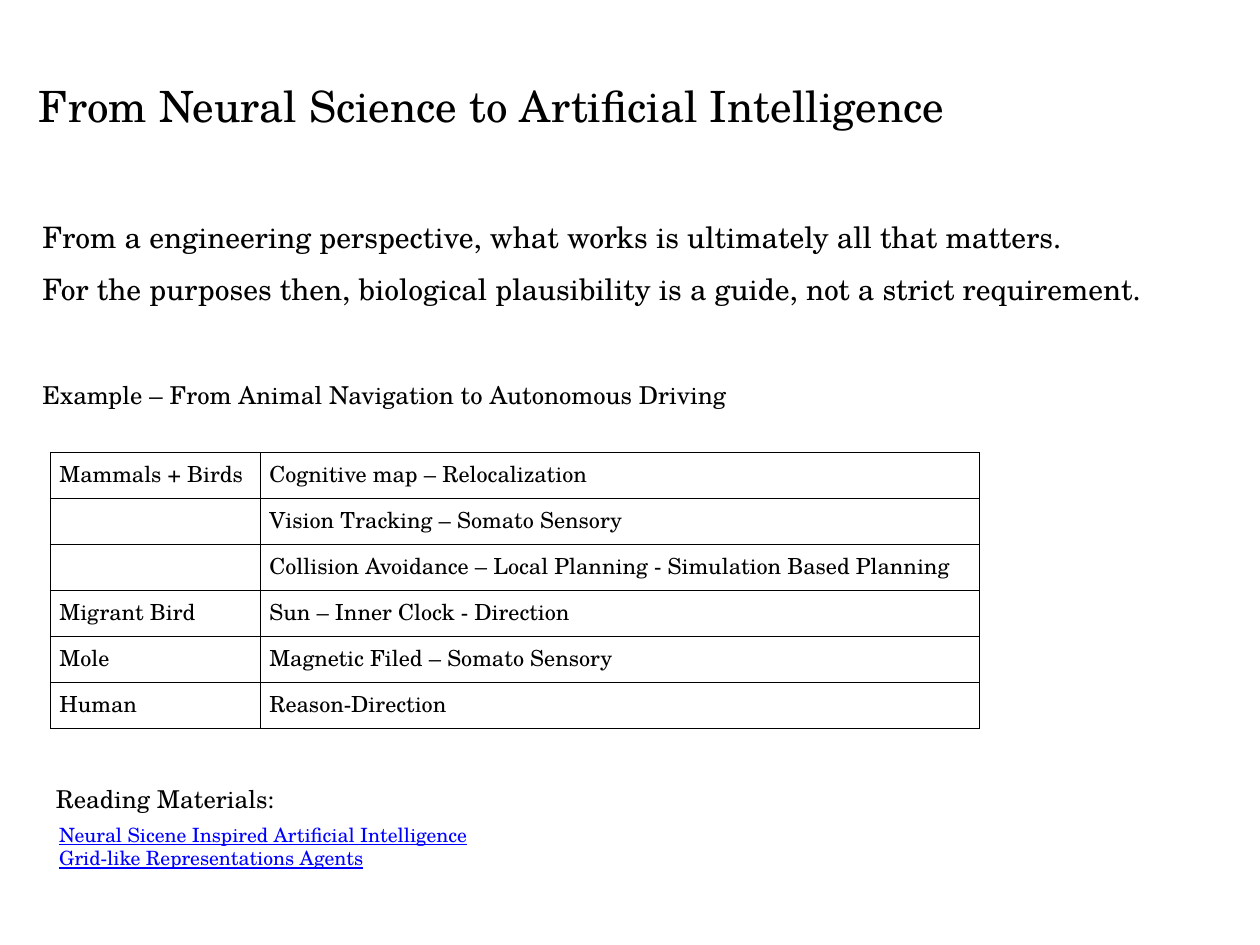
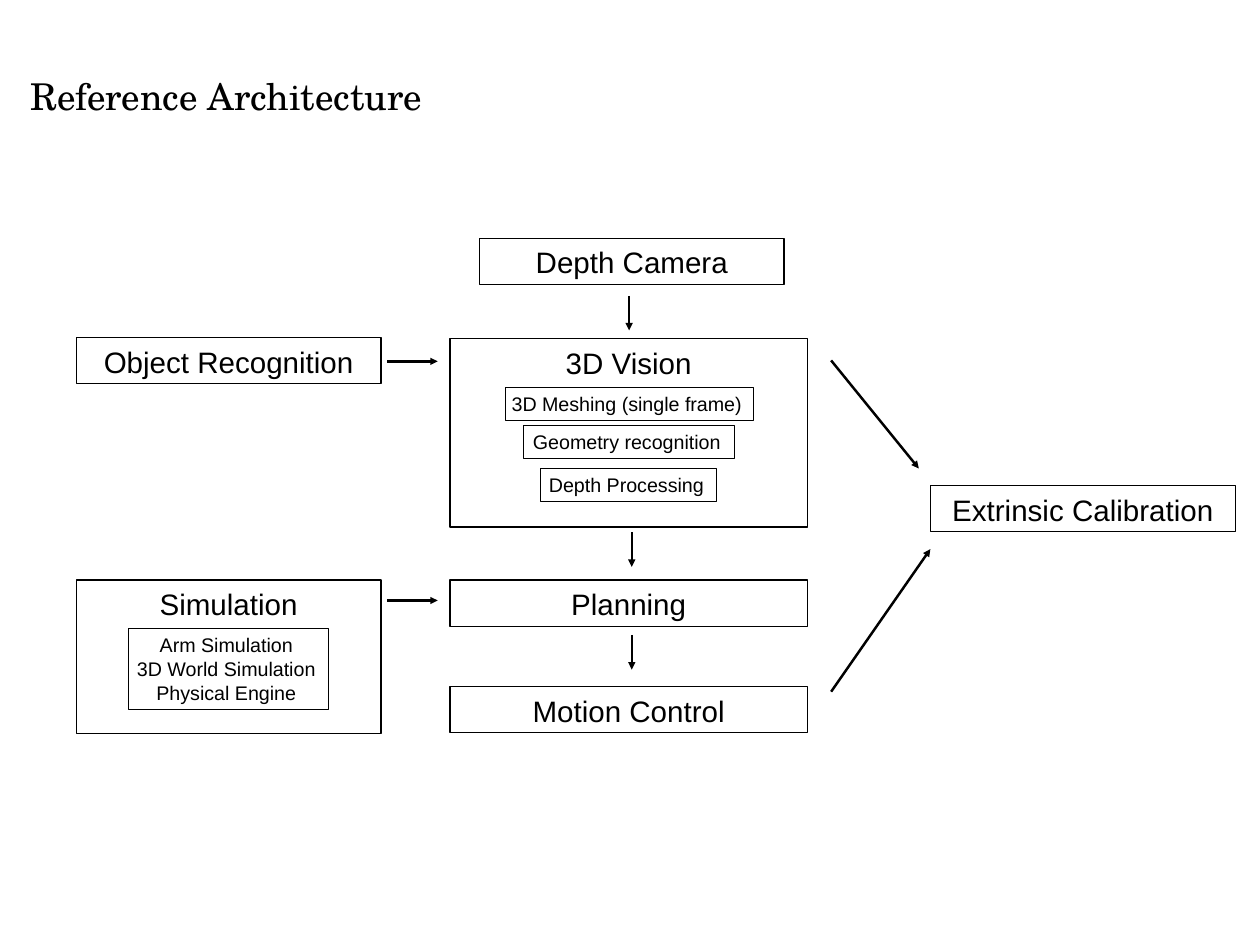
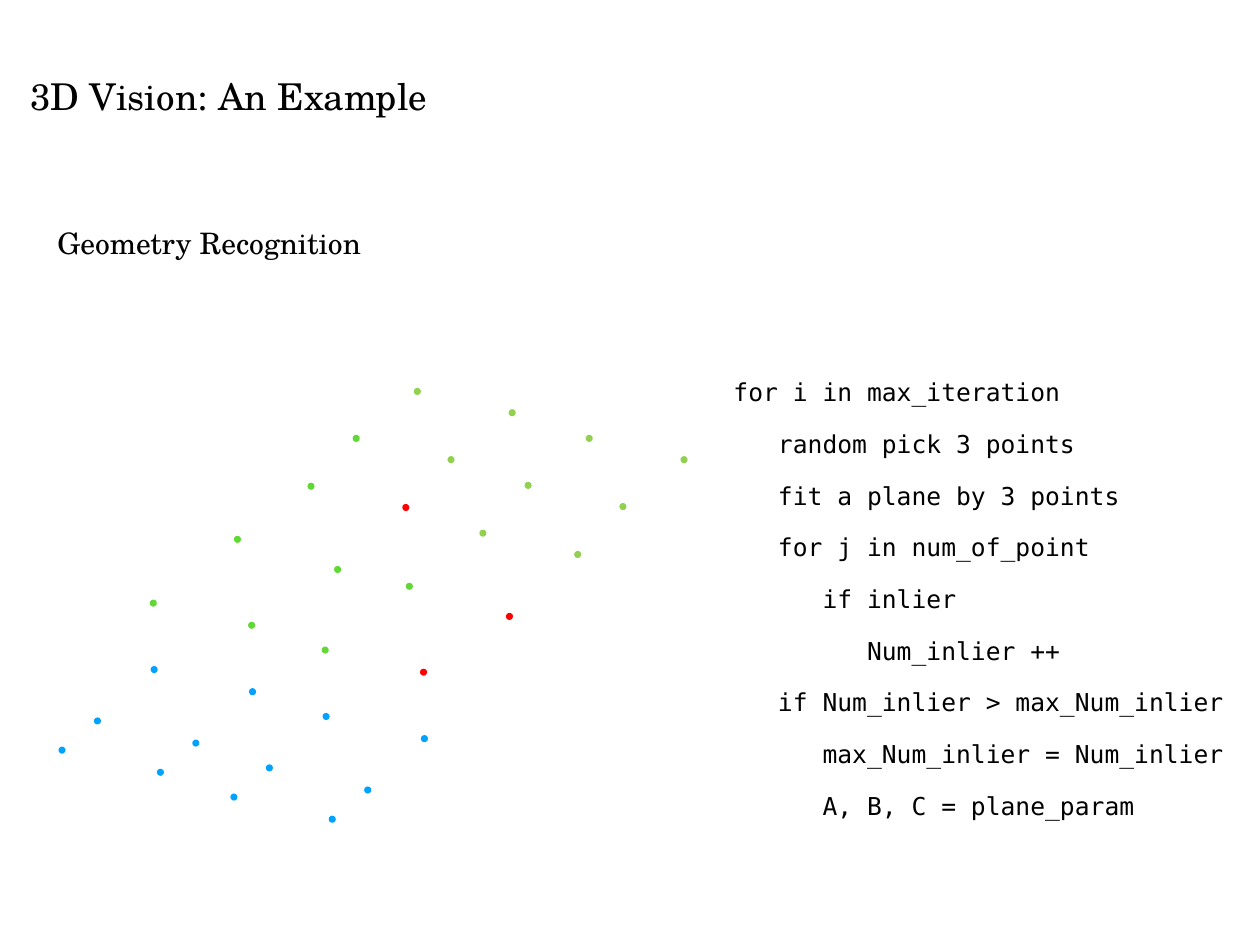
"""Build three slides on neural science, a reference architecture and 3D vision."""

import dataclasses
import typing

import lxml.etree
import pptx
import pptx.dml.color
import pptx.enum.shapes
import pptx.enum.text
import pptx.oxml.ns
import pptx.util

Inches = pptx.util.Inches
Pt = pptx.util.Pt
RGBColor = pptx.dml.color.RGBColor
Alignment = pptx.enum.text.PP_ALIGN
Anchor = pptx.enum.text.MSO_ANCHOR
qn = pptx.oxml.ns.qn

BLACK = RGBColor(0x00, 0x00, 0x00)
LINK_BLUE = RGBColor(0x00, 0x00, 0xFF)
GREEN = RGBColor(0x61, 0xD8, 0x36)
LIME = RGBColor(0x92, 0xD0, 0x50)
RED = RGBColor(0xFF, 0x00, 0x00)
BLUE = RGBColor(0x00, 0xA2, 0xFF)

SERIF = "TeX Gyre Schola"
SANS = "Arial"
MONO = "DejaVu Sans Mono"
DOT_SIZE = 0.08


@dataclasses.dataclass(frozen=True)
class TextStyle:
    size: float
    font: str = SERIF
    color: RGBColor = BLACK
    underline: bool = False
    spacing: typing.Optional[float] = None
    alignment: Alignment = Alignment.LEFT


@dataclasses.dataclass(frozen=True)
class Margins:
    left: float = 0.1
    top: float = 0.05
    right: float = 0.1
    bottom: float = 0.05


@dataclasses.dataclass(frozen=True)
class Box:
    left: float
    top: float
    width: float
    height: float


@dataclasses.dataclass(frozen=True)
class Block:
    box: Box
    lines: tuple[str, ...]


@dataclasses.dataclass(frozen=True)
class Arrow:
    start: tuple[float, float]
    end: tuple[float, float]


@dataclasses.dataclass(frozen=True)
class DotRow:
    start: tuple[float, float]
    step: tuple[float, float]
    colors: tuple[RGBColor, RGBColor, RGBColor, RGBColor]


LARGE_TITLE = TextStyle(35, spacing=56)
TITLE = TextStyle(30, spacing=50)
STATEMENT = TextStyle(24, spacing=42)
EXAMPLE = TextStyle(20, spacing=42)
READING = TextStyle(20, spacing=38)
LINK = TextStyle(16, color=LINK_BLUE, underline=True)
CELL = TextStyle(18)
SUBTITLE = TextStyle(24)
CODE = TextStyle(20, font=MONO, spacing=42)
STAGE = TextStyle(24, font=SANS, alignment=Alignment.CENTER)
DETAIL = TextStyle(16, font=SANS, alignment=Alignment.CENTER)

TIGHT = Margins(0.06, 0.06, 0.06, 0.06)
STAGE_MARGINS = Margins(0.06, 0.07, 0.06, 0.06)
DETAIL_MARGINS = Margins(right=0.15)

TABLE_COLUMNS = (2.37, 8.12)
TABLE_ROW = 0.52
TABLE_CELLS = (
    ("Mammals + Birds", "Cognitive map – Relocalization"),
    ("", "Vision Tracking – Somato Sensory"),
    ("", "Collision Avoidance – Local Planning - Simulation Based Planning"),
    ("Migrant Bird", "Sun – Inner Clock - Direction"),
    ("Mole", "Magnetic Filed – Somato Sensory"),
    ("Human", "Reason-Direction"),
)

STAGES = (
    Block(Box(5.41, 2.69, 3.44, 0.52), ("Depth Camera",)),
    Block(Box(0.86, 3.81, 3.44, 0.52), ("Object Recognition",)),
    Block(Box(5.08, 3.82, 4.03, 2.13), ("3D Vision",)),
    Block(Box(10.5, 5.48, 3.44, 0.52), ("Extrinsic Calibration",)),
    Block(Box(0.86, 6.55, 3.44, 1.73), ("Simulation",)),
    Block(Box(5.08, 6.55, 4.03, 0.52), ("Planning",)),
    Block(Box(5.08, 7.75, 4.03, 0.52), ("Motion Control",)),
)
DETAILS = (
    Block(Box(5.7, 4.38, 2.8, 0.37), ("3D Meshing (single frame)",)),
    Block(Box(5.91, 4.81, 2.38, 0.37), ("Geometry recognition",)),
    Block(Box(6.1, 5.29, 1.99, 0.37), ("Depth Processing",)),
    Block(Box(1.45, 7.1, 2.26, 0.91),
          ("Arm Simulation", "3D World Simulation", "Physical Engine")),
)
ARROWS = (
    Arrow((4.37, 4.08), (4.94, 4.08)),
    Arrow((4.37, 6.78), (4.94, 6.78)),
    Arrow((7.1, 3.34), (7.1, 3.73)),
    Arrow((7.13, 6.01), (7.13, 6.4)),
    Arrow((7.13, 7.17), (7.13, 7.56)),
    Arrow((9.38, 4.07), (10.37, 5.29)),
    Arrow((9.38, 7.81), (10.5, 6.2)),
)

PAIR_SHIFT = (1.94, 0.53)
DOT_ROWS = (
    DotRow((4.67, 4.38), (1.07, 0.24), (LIME, LIME, LIME, LIME)),
    DotRow((3.98, 4.91), (1.07, 0.24), (GREEN, LIME, LIME, LIME)),
    DotRow((3.47, 5.45), (1.07, 0.24), (GREEN, RED, LIME, LIME)),
    DotRow((2.64, 6.05), (1.13, 0.34), (GREEN, GREEN, GREEN, RED)),
    DotRow((1.69, 6.77), (1.11, 0.25), (GREEN, GREEN, GREEN, RED)),
    DotRow((1.7, 7.52), (1.11, 0.25), (BLUE, BLUE, BLUE, BLUE)),
    DotRow((1.06, 8.1), (1.11, 0.25), (BLUE, BLUE, BLUE, BLUE)),
    DotRow((0.66, 8.43), (1.11, 0.25), (BLUE, BLUE, BLUE, BLUE)),
)

CODE_LINES = (
    "for i in max_iteration",
    "   random pick 3 points",
    "   fit a plane by 3 points",
    "   for j in num_of_point",
    "      if inlier",
    "         Num_inlier ++",
    "   if Num_inlier > max_Num_inlier",
    "      max_Num_inlier = Num_inlier",
    "      A, B, C = plane_param",
)


def format_paragraph(paragraph: typing.Any, style: TextStyle) -> None:
    paragraph.alignment = style.alignment
    if style.spacing:
        paragraph.line_spacing = Pt(style.spacing)
    for run in paragraph.runs:
        run.font.name = style.font
        run.font.size = Pt(style.size)
        run.font.bold = False
        run.font.underline = style.underline
        run.font.color.rgb = style.color


def write_text(text_frame: typing.Any, lines: typing.Sequence[str], style: TextStyle,
               margins: Margins, anchor: Anchor, wrap: bool = True) -> None:
    text_frame.word_wrap = wrap
    text_frame.vertical_anchor = anchor
    text_frame.margin_left = Inches(margins.left)
    text_frame.margin_top = Inches(margins.top)
    text_frame.margin_right = Inches(margins.right)
    text_frame.margin_bottom = Inches(margins.bottom)
    text_frame.text = "\n".join(lines)
    for paragraph in text_frame.paragraphs:
        format_paragraph(paragraph, style)


def place(box: Box) -> tuple[pptx.util.Length, ...]:
    return tuple(Inches(value) for value in dataclasses.astuple(box))


def add_text(slide: typing.Any, box: Box, lines: typing.Sequence[str], style: TextStyle,
             margins: Margins = Margins(), anchor: Anchor = Anchor.TOP) -> typing.Any:
    shape = slide.shapes.add_textbox(*place(box))
    write_text(shape.text_frame, lines, style, margins, anchor)
    return shape


def add_title(slide: typing.Any, box: Box, title: str, style: TextStyle = TITLE) -> None:
    add_text(slide, box, (title,), style, TIGHT, Anchor.MIDDLE)


def add_block(slide: typing.Any, block: Block, style: TextStyle, margins: Margins,
              line_width: float, wrap: bool) -> None:
    shape = slide.shapes.add_shape(pptx.enum.shapes.MSO_SHAPE.RECTANGLE, *place(block.box))
    shape.shadow.inherit = False
    shape.fill.background()
    shape.line.color.rgb = BLACK
    shape.line.width = Pt(line_width)
    write_text(shape.text_frame, block.lines, style, margins, Anchor.TOP, wrap)


def add_arrow(slide: typing.Any, arrow: Arrow) -> None:
    ends = [Inches(value) for value in (*arrow.start, *arrow.end)]
    connector = slide.shapes.add_connector(pptx.enum.shapes.MSO_CONNECTOR.STRAIGHT, *ends)
    connector.line.color.rgb = BLACK
    connector.line.width = Pt(2)
    properties = connector.element.spPr
    lxml.etree.SubElement(properties.find(qn("a:ln")), qn("a:tailEnd"), type="triangle")
    lxml.etree.SubElement(properties, qn("a:effectLst"))


def add_dot(slide: typing.Any, left: float, top: float, color: RGBColor) -> None:
    box = Box(left, top, DOT_SIZE, DOT_SIZE)
    dot = slide.shapes.add_shape(pptx.enum.shapes.MSO_SHAPE.OVAL, *place(box))
    dot.shadow.inherit = False
    dot.fill.solid()
    dot.fill.fore_color.rgb = color
    dot.line.fill.background()


def add_dot_row(slide: typing.Any, row: DotRow) -> None:
    for index, color in enumerate(row.colors):
        pair, member = divmod(index, 2)
        left, top = (
            start + pair * shift + member * step
            for start, shift, step in zip(row.start, PAIR_SHIFT, row.step)
        )
        add_dot(slide, left, top, color)


def add_cell_borders(cell: typing.Any) -> None:
    properties = cell._tc.get_or_add_tcPr()
    for edge in ("a:lnL", "a:lnR", "a:lnT", "a:lnB"):
        border = lxml.etree.SubElement(properties, qn(edge), w=str(Pt(1)))
        fill = lxml.etree.SubElement(border, qn("a:solidFill"))
        lxml.etree.SubElement(fill, qn("a:srgbClr"), val=str(BLACK))


def add_navigation_table(slide: typing.Any) -> None:
    box = Box(0.57, 5.11, sum(TABLE_COLUMNS), TABLE_ROW * len(TABLE_CELLS))
    table = slide.shapes.add_table(len(TABLE_CELLS), len(TABLE_COLUMNS), *place(box)).table
    table.first_row = False
    table.horz_banding = False
    for column, width in zip(table.columns, TABLE_COLUMNS):
        column.width = Inches(width)
    for row, texts in zip(table.rows, TABLE_CELLS):
        row.height = Inches(TABLE_ROW)
        for cell, text in zip(row.cells, texts):
            add_cell_borders(cell)
            cell.fill.background()
            cell.text_frame.text = text
            format_paragraph(cell.text_frame.paragraphs[0], CELL)


def build_neural_science(slide: typing.Any) -> None:
    add_title(slide, Box(0.38, 0.64, 13.4, 0.9),
              "From Neural Science to Artificial Intelligence", LARGE_TITLE)
    statements = add_text(slide, Box(0.38, 2.24, 13.4, 2.46), (
        "From a engineering perspective, what works is ultimately all that matters.",
        "For the purposes then, biological plausibility is a guide, not a strict requirement.",
        "Example – From Animal Navigation to Autonomous Driving",
    ), STATEMENT)
    example = statements.text_frame.paragraphs[-1]
    format_paragraph(example, EXAMPLE)
    example.space_before = Pt(42)
    add_navigation_table(slide)
    add_text(slide, Box(0.57, 8.6, 4, 0.65), ("Reading Materials:",),
             READING, TIGHT, Anchor.MIDDLE)
    add_text(slide, Box(0.57, 9.24, 7.11, 0.64), (
        "Neural Sicene Inspired Artificial Intelligence",
        "Grid-like Representations Agents",
    ), LINK)


def build_architecture(slide: typing.Any) -> None:
    add_title(slide, Box(0.28, 0.57, 13.4, 0.82), "Reference Architecture")
    for stage in STAGES:
        add_block(slide, stage, STAGE, STAGE_MARGINS, 1, True)
    for detail in DETAILS:
        add_block(slide, detail, DETAIL, DETAIL_MARGINS, 0.75, False)
    for arrow in ARROWS:
        add_arrow(slide, arrow)


def build_vision_example(slide: typing.Any) -> None:
    add_title(slide, Box(0.28, 0.57, 13.4, 0.82), "3D Vision: An Example")
    add_text(slide, Box(0.55, 2.49, 5, 0.5), ("Geometry Recognition",), SUBTITLE)
    for row in DOT_ROWS:
        add_dot_row(slide, row)
    add_text(slide, Box(8.18, 3.96, 6.04, 5.99), CODE_LINES, CODE)


def main() -> None:
    presentation = pptx.Presentation()
    presentation.slide_width = Inches(14.22)
    presentation.slide_height = Inches(10.67)
    blank_layout = presentation.slide_layouts[6]
    for build in (build_neural_science, build_architecture, build_vision_example):
        build(presentation.slides.add_slide(blank_layout))
    presentation.save("out.pptx")


if __name__ == "__main__":
    main()
